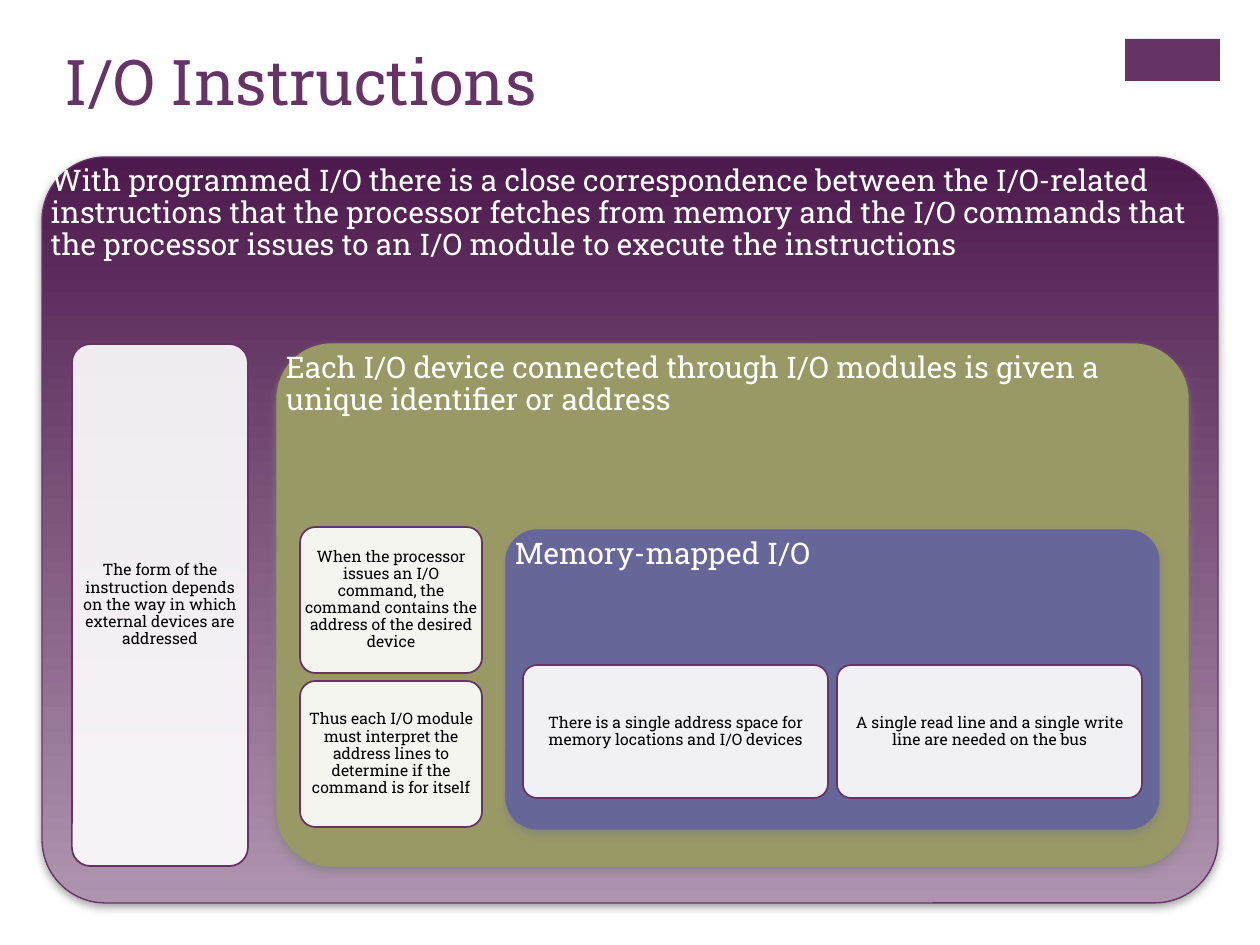
import pptx
import pptx.dml.color
import pptx.enum.shapes
import pptx.enum.text
import pptx.oxml.ns
import pptx.util
from lxml import etree

# Content: nested panels and the cards inside them, boxes in px
TITLE = ("I/O Instructions", (53, 31, 1041, 154))
TAB = (1125, 39, 95, 42)
PANELS = [
    {
        "text": "With programmed I/O there is a close correspondence between the "
                "I/O-related instructions that the processor fetches from memory and the "
                "I/O commands that the processor issues to an I/O module to execute the "
                "instructions",
        "box": (42, 157, 1176, 746), "color": "plum", "adj": 0.085,
        "gradient": ("plum_dark", "plum_light"),
        "cards": ["The form of the instruction depends on the way in which external "
                  "devices are addressed"],
        "first": (72, 344, 176, 522), "step": (0, 0),
    },
    {
        "text": "Each I/O device connected through I/O modules is given a unique "
                "identifier or address",
        "box": (277, 344, 911, 522), "color": "olive", "adj": 0.105,
        "cards": ["When the processor issues an I/O command, the command contains the "
                  "address of the desired device",
                  "Thus each I/O module must interpret the address lines to determine "
                  "if the command is for itself"],
        "first": (300, 527, 182, 146), "step": (0, 154),
    },
    {
        "text": "Memory-mapped I/O",
        "box": (506, 530, 653, 299), "color": "slate", "adj": 0.105,
        "cards": ["There is a single address space for memory locations and I/O devices",
                  "A single read line and a single write line are needed on the bus"],
        "first": (523, 665, 305, 133), "step": (314, 0),
    },
]

THEME = {
    "font": "Roboto Slab",
    "plum": "663366", "plum_dark": "4D1A4D", "plum_light": "AF94AF",
    "olive": "999966", "slate": "666699", "white": "FFFFFF", "black": "000000",
    "shadow": "808080",
    "title": 36, "panel": 17, "card": 9,
    "card_adj": 0.105, "card_alpha": 90,
}
PX = 914400 / 126
SHAPE = pptx.enum.shapes.MSO_SHAPE
ALIGN = pptx.enum.text.PP_ALIGN
ANCHOR = pptx.enum.text.MSO_ANCHOR


def emu(box):
    return [round(v * PX) for v in box]


def rgb(name):
    return pptx.dml.color.RGBColor.from_string(THEME[name])


def sub(parent, tag, **attrs):
    return etree.SubElement(parent, pptx.oxml.ns.qn(tag), attrs)


def add_text(sp, text, size, color, align=ALIGN.LEFT, anchor=ANCHOR.TOP,
             inset=0, spacing=0.9):
    tf = sp.text_frame
    tf.word_wrap = True
    tf.vertical_anchor = anchor
    tf.margin_left = tf.margin_right = tf.margin_top = tf.margin_bottom = round(inset * PX)
    p = tf.paragraphs[0]
    p.alignment = align
    p.line_spacing = spacing
    r = p.add_run()
    r.text = text
    r.font.name = THEME["font"]
    r.font.size = pptx.util.Pt(THEME[size])
    r.font.color.rgb = rgb(color)


def add_box(s, kind, box, fill, line=None, width=1, adj=None):
    sp = s.shapes.add_shape(kind, *emu(box))
    sp.shadow.inherit = False
    sp.fill.solid()
    sp.fill.fore_color.rgb = rgb(fill)
    if line:
        sp.line.color.rgb = rgb(line)
        sp.line.width = pptx.util.Pt(width)
    else:
        sp.line.fill.background()
    if adj is not None:
        sp.adjustments[0] = adj
    return sp


def add_shadow(sp):
    effects = sp._element.spPr.find(pptx.oxml.ns.qn("a:effectLst"))
    shadow = sub(effects, "a:outerShdw", blurRad="63500", dist="25400",
                 dir="5400000", rotWithShape="0")
    sub(sub(shadow, "a:srgbClr", val=THEME["shadow"]), "a:alpha", val="75000")


def add_panel(s, panel):
    sp = add_box(s, SHAPE.ROUNDED_RECTANGLE, panel["box"], panel["color"],
                 panel["color"], 0.75, panel["adj"])
    if "gradient" in panel:
        sp.fill.gradient()
        sp.fill.gradient_angle = 270
        for stop, name in zip(sp.fill.gradient_stops, panel["gradient"]):
            stop.color.rgb = rgb(name)
    add_shadow(sp)
    # The heading runs the full width, past the rounded corners
    heading = s.shapes.add_textbox(*emu(panel["box"]))
    add_text(heading, panel["text"], "panel", "white", inset=9)


def add_card(s, text, box):
    sp = add_box(s, SHAPE.ROUNDED_RECTANGLE, box, "white", "plum", 1, THEME["card_adj"])
    color = sp._element.spPr.find(pptx.oxml.ns.qn("a:solidFill"))[0]
    sub(color, "a:alpha", val=str(THEME["card_alpha"] * 1000))
    add_text(sp, text, "card", "black", ALIGN.CENTER, ANCHOR.MIDDLE)


def main():
    prs = pptx.Presentation()
    prs.slide_width, prs.slide_height = pptx.util.Inches(10), pptx.util.Inches(7.5)
    s = prs.slides.add_slide(prs.slide_layouts[6])

    # Corner tab and title
    add_box(s, SHAPE.RECTANGLE, TAB, "plum")
    text, box = TITLE
    add_text(s.shapes.add_textbox(*emu(box)), text, "title", "plum", inset=12, spacing=1.0)

    # Panels from the outermost in, each with its row or column of cards
    for panel in PANELS:
        add_panel(s, panel)
        x, y, w, h = panel["first"]
        dx, dy = panel["step"]
        for i, card in enumerate(panel["cards"]):
            add_card(s, card, (x + i * dx, y + i * dy, w, h))

    prs.save("out.pptx")


if __name__ == "__main__":
    main()
